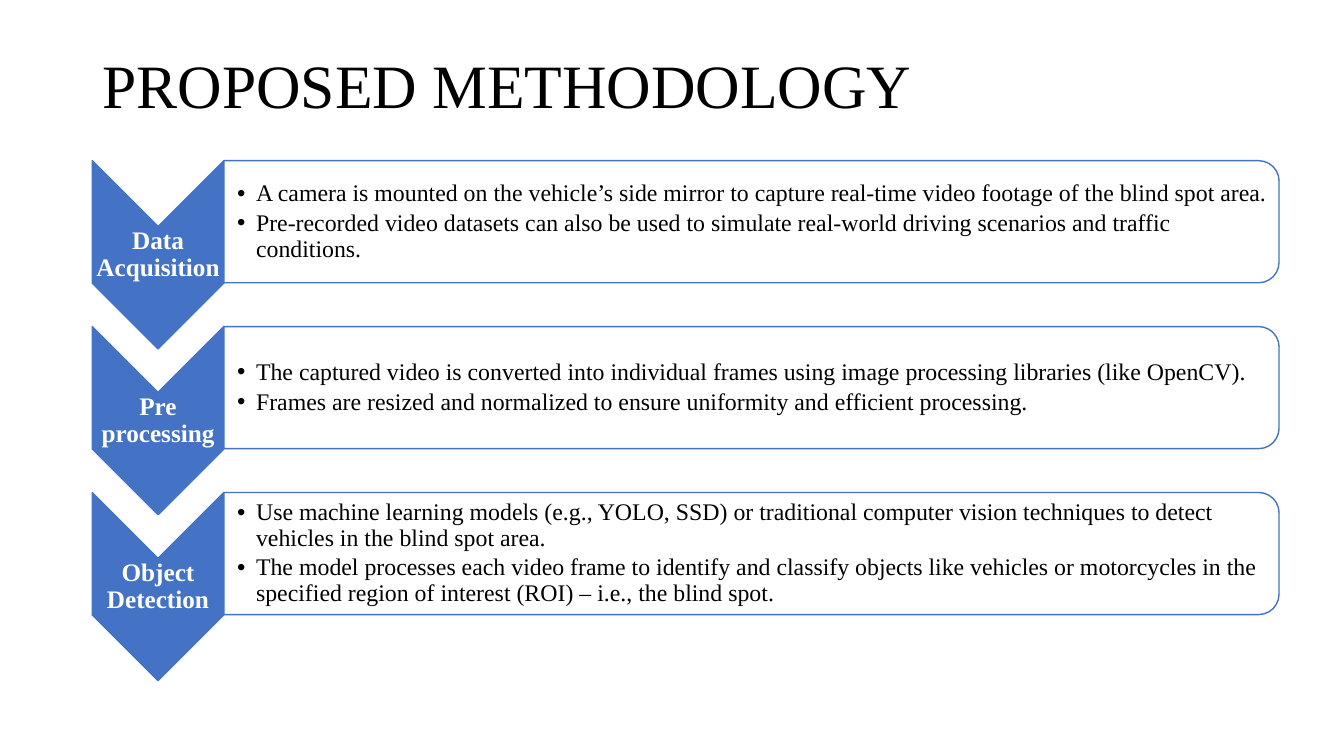
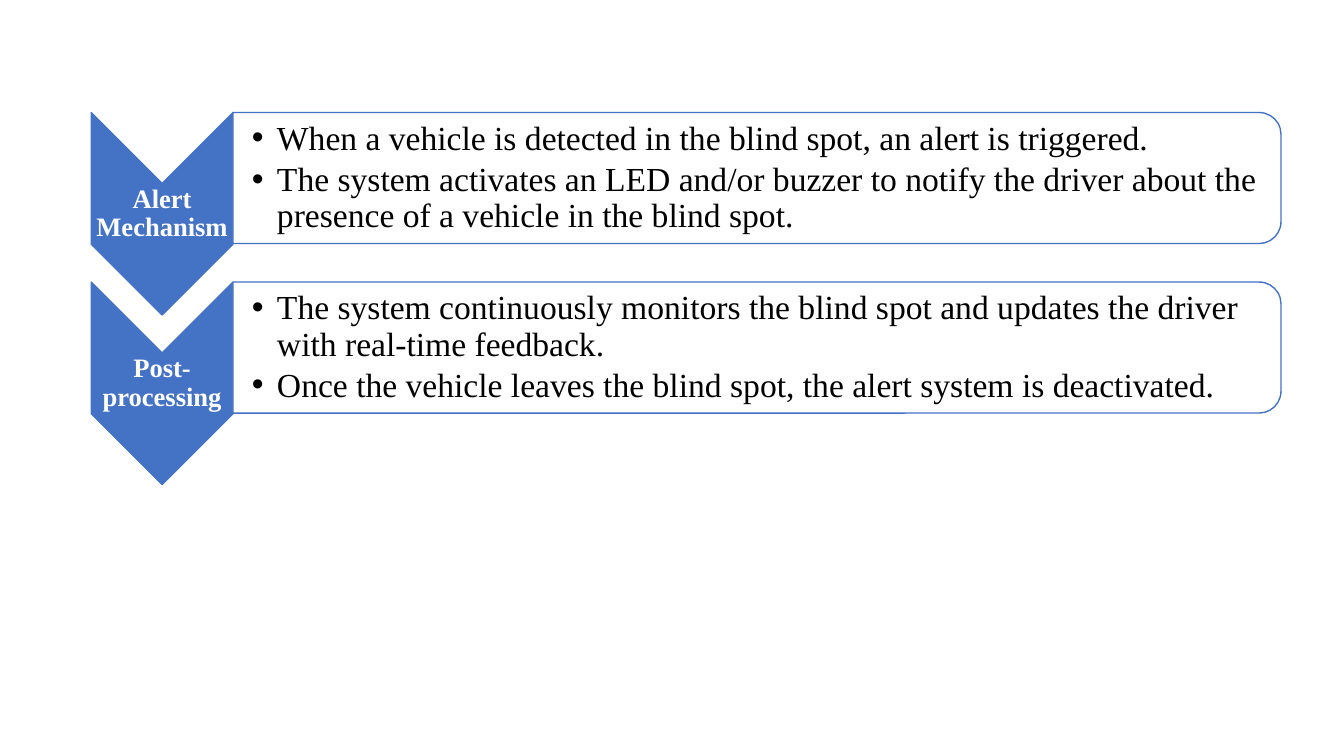
from dataclasses import dataclass

from lxml import etree
from pptx import Presentation
from pptx.dml.color import RGBColor
from pptx.enum.shapes import MSO_SHAPE
from pptx.enum.text import MSO_ANCHOR, PP_ALIGN
from pptx.oxml.ns import qn
from pptx.util import Pt

CHEVRON = MSO_SHAPE.CHEVRON
ROUNDED_BAR = MSO_SHAPE.ROUND_2_SAME_RECTANGLE
MIDDLE = MSO_ANCHOR.MIDDLE
LEFT, CENTER = PP_ALIGN.LEFT, PP_ALIGN.CENTER
TITLE_ONLY, BLANK = 5, 6


@dataclass(frozen=True)
class Theme:
    font: str = "Times New Roman"
    ink: RGBColor = RGBColor(0x00, 0x00, 0x00)
    paper: RGBColor = RGBColor(0xFF, 0xFF, 0xFF)
    accent: RGBColor = RGBColor(0x44, 0x72, 0xC4)
    title_size: float = 44
    outline: float = 1
    line_spacing: float = 0.9


THEME = Theme()
SLIDE_SIZE = (960, 540)
TITLE_AREA = (66, 10.8, 828, 104.4)

# Content: each slide has an optional title, a chevron list and its measures
SLIDES = [
    {
        "title": "PROPOSED METHODOLOGY",
        "steps": [
            ("Data Acquisition", [
                "A camera is mounted on the vehicle’s side mirror to capture real-time "
                "video footage of the blind spot area.",
                "Pre-recorded video datasets can also be used to simulate real-world "
                "driving scenarios and traffic conditions.",
            ]),
            ("Pre processing", [
                "The captured video is converted into individual frames using image "
                "processing libraries (like OpenCV).",
                "Frames are resized and normalized to ensure uniformity and efficient "
                "processing.",
            ]),
            ("Object Detection", [
                "Use machine learning models (e.g., YOLO, SSD) or traditional computer "
                "vision techniques to detect vehicles in the blind spot area.",
                "The model processes each video frame to identify and classify objects "
                "like vehicles or motorcycles in the specified region of interest "
                "(ROI) – i.e., the blind spot.",
            ]),
        ],
        "left": 65.9, "top": 114.8, "right": 913.6, "pitch": 118.5,
        "chevron": (94, 134.4), "bar_height": 87.2,
        "label_size": 18, "body_size": 17, "indent": 13.5, "inset": 9.5,
    },
    {
        "title": None,
        "steps": [
            ("Alert Mechanism", [
                "When a vehicle is detected in the blind spot, an alert is triggered.",
                "The system activates an LED and/or buzzer to notify the driver about "
                "the presence of a vehicle in the blind spot.",
            ]),
            ("Post-processing", [
                "The system continuously monitors the blind spot and updates the driver "
                "with real-time feedback.",
                "Once the vehicle leaves the blind spot, the alert system is deactivated.",
            ]),
        ],
        "left": 65.2, "top": 80.4, "right": 915, "pitch": 121.1,
        "chevron": (101.2, 144.6), "bar_height": 93.6,
        "label_size": 19, "body_size": 24, "indent": 18, "inset": 13.5,
    },
]


def points(*lengths):
    return [Pt(length) for length in lengths]


def write(frame, lines, *, size, color, align=LEFT, bold=False,
          after=0, indent=0, insets=None):
    """Fill a text frame; an indent turns its lines into bullets."""
    frame.word_wrap = True
    frame.vertical_anchor = MIDDLE
    if insets:
        (frame.margin_left, frame.margin_top,
         frame.margin_right, frame.margin_bottom) = points(*insets)
    for index, line in enumerate(lines):
        para = frame.add_paragraph() if index else frame.paragraphs[0]
        para.alignment = align
        para.line_spacing = THEME.line_spacing
        para.space_before = Pt(0)
        para.space_after = Pt(after * size)
        span = para.add_run()
        span.text = line
        span.font.name = THEME.font
        span.font.size = Pt(size)
        span.font.bold = bold
        span.font.color.rgb = color
        if indent:
            settings = para._p.get_or_add_pPr()
            settings.set("marL", str(Pt(indent)))
            settings.set("indent", str(-Pt(indent)))
            etree.SubElement(settings, qn("a:buFont"), typeface="Arial")
            etree.SubElement(settings, qn("a:buChar"), char="•")


def add_turned_shape(page, preset, left, top, width, height, fill):
    """Place a shape turned by 90° so that it covers the given area."""
    shift = (width - height) / 2
    shape = page.shapes.add_shape(
        preset, *points(left + shift, top - shift, height, width))
    shape.rotation = 90
    shape.shadow.inherit = False
    shape.fill.solid()
    shape.fill.fore_color.rgb = fill
    shape.line.color.rgb = THEME.accent
    shape.line.width = Pt(THEME.outline)


def add_step(page, layout, top, label, bullets):
    left, (width, height) = layout["left"], layout["chevron"]
    bar_left, bar_height = left + width, layout["bar_height"]
    bar_width = layout["right"] - bar_left
    corner = 0.05 * bar_height  # keeps the text clear of the round corners

    # Chevron with its label between notch and tip
    add_turned_shape(page, CHEVRON, left, top, width, height, THEME.accent)
    box = page.shapes.add_textbox(
        *points(left, top + width / 2, width, height - width))
    write(box.text_frame, [label], size=layout["label_size"], color=THEME.paper,
          align=CENTER, bold=True, after=0.35, insets=(0.9, 0.9, 0.9, 0.9))

    # Bar with its bullets
    add_turned_shape(page, ROUNDED_BAR, bar_left, top, bar_width, bar_height,
                     THEME.paper)
    box = page.shapes.add_textbox(
        *points(bar_left, top + corner, bar_width - corner, bar_height - 2 * corner))
    write(box.text_frame, bullets, size=layout["body_size"], color=THEME.ink,
          after=0.15, indent=layout["indent"], insets=(layout["inset"], 1, 1, 1))


def add_page(deck, content):
    page = deck.slides.add_slide(
        deck.slide_layouts[TITLE_ONLY if content["title"] else BLANK])
    if content["title"]:
        title = page.shapes.title
        title.left, title.top, title.width, title.height = points(*TITLE_AREA)
        write(title.text_frame, [content["title"]], size=THEME.title_size,
              color=THEME.ink)
    for index, (label, bullets) in enumerate(content["steps"]):
        add_step(page, content, content["top"] + index * content["pitch"],
                 label, bullets)


def main():
    deck = Presentation()
    deck.slide_width, deck.slide_height = points(*SLIDE_SIZE)
    for content in SLIDES:
        add_page(deck, content)
    deck.save("out.pptx")


if __name__ == "__main__":
    main()
